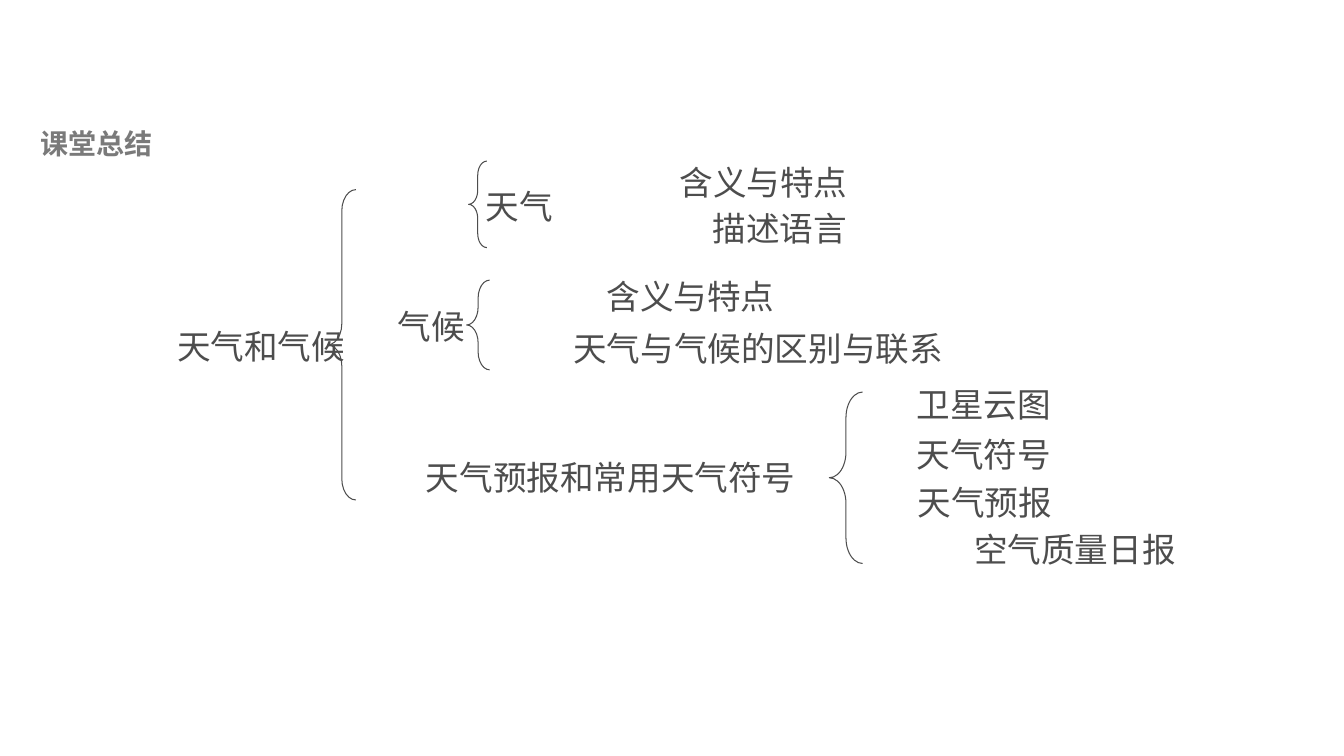
from lxml.etree import SubElement
from pptx import Presentation
from pptx.dml.color import RGBColor
from pptx.enum.shapes import MSO_SHAPE
from pptx.enum.text import MSO_ANCHOR, MSO_AUTO_SIZE, PP_ALIGN
from pptx.oxml.ns import qn
from pptx.util import Cm, Pt


class Theme:
    font = "Noto Sans CJK SC"
    ink = RGBColor(0x4D, 0x4D, 0x4D)
    title_ink = RGBColor(0x7A, 0x7A, 0x7A)
    title_size = Pt(20)
    label_size = Pt(24)
    brace_width = Pt(0.75)


def write_text(shape, text, size, color, bold=False, wrap=True):
    frame = shape.text_frame
    frame.text = text
    frame.word_wrap = wrap
    frame.auto_size = MSO_AUTO_SIZE.SHAPE_TO_FIT_TEXT
    frame.vertical_anchor = MSO_ANCHOR.TOP
    paragraph = frame.paragraphs[0]
    paragraph.alignment = PP_ALIGN.CENTER
    paragraph.line_spacing = 1.0
    font = paragraph.font
    font.size, font.bold, font.name = size, bold, Theme.font
    font.color.rgb = color
    # Chinese glyphs take the East Asian typeface
    SubElement(font._element, qn("a:ea"), typeface=Theme.font)


presentation = Presentation()
presentation.slide_width, presentation.slide_height = Cm(33.87), Cm(19.05)
slide = presentation.slides.add_slide(presentation.slide_layouts[5])

# Title
title = slide.shapes.title
title.left, title.top, title.width, title.height = Cm(0.76), Cm(3.05), Cm(3.35), Cm(1.12)
write_text(title, "课堂总结", Theme.title_size, Theme.title_ink, bold=True, wrap=False)

# Topic labels: text, left, top, width
labels = [
    ("天气和气候", 2.49, 8.08, 8.18),
    ("天气", 8.99, 4.55, 8.2),
    ("含义与特点", 12.19, 3.96, 14.1),
    ("描述语言", 12.27, 5.11, 14.76),
    ("气候", 8.99, 7.59, 3.76),
    ("含义与特点", 12.27, 6.83, 10.26),
    ("天气与气候的区别与联系", 12.27, 8.15, 13.67),
    ("天气预报和常用天气符号", 8.99, 11.38, 12.8),
    ("卫星云图", 21.72, 9.55, 6.15),
    ("天气符号", 21.72, 10.82, 6.15),
    ("天气预报", 21.74, 12.01, 6.15),
    ("空气质量日报", 21.64, 13.21, 10.9),
]
for text, left, top, width in labels:
    label = slide.shapes.add_textbox(Cm(left), Cm(top), Cm(width), Cm(1.27))
    write_text(label, text, Theme.label_size, Theme.ink)

# Braces: left, top, width, height, curl
braces = [
    (8.26, 4.78, 0.71, 7.82, 0.75),
    (11.81, 4.06, 0.46, 2.18, 0.77),
    (11.76, 7.06, 0.58, 2.26, 0.78),
    (20.9, 9.88, 0.84, 4.32, 0.77),
]
for left, top, width, height, curl in braces:
    brace = slide.shapes.add_shape(
        MSO_SHAPE.LEFT_BRACE, Cm(left), Cm(top), Cm(width), Cm(height))
    brace.adjustments[0] = curl
    brace.shadow.inherit = False
    brace.fill.background()
    brace.line.color.rgb = Theme.ink
    brace.line.width = Theme.brace_width

presentation.save("out.pptx")
